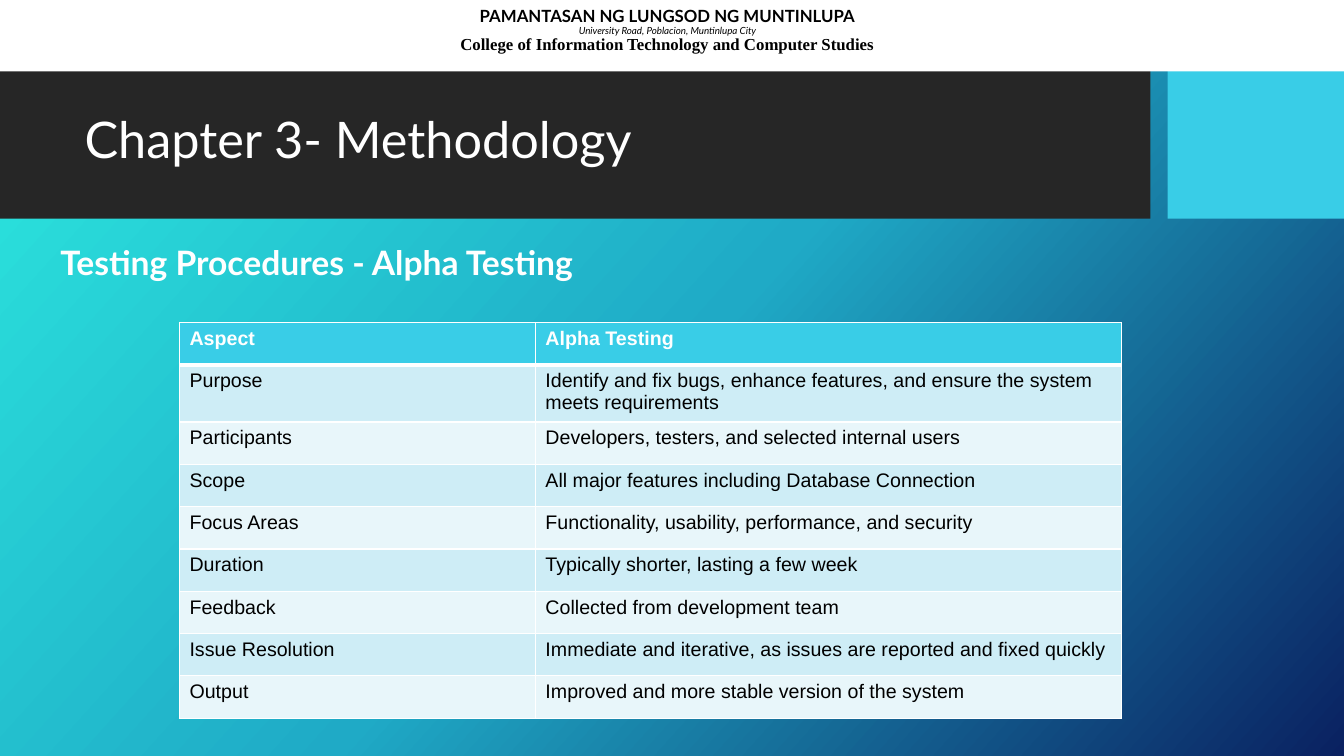
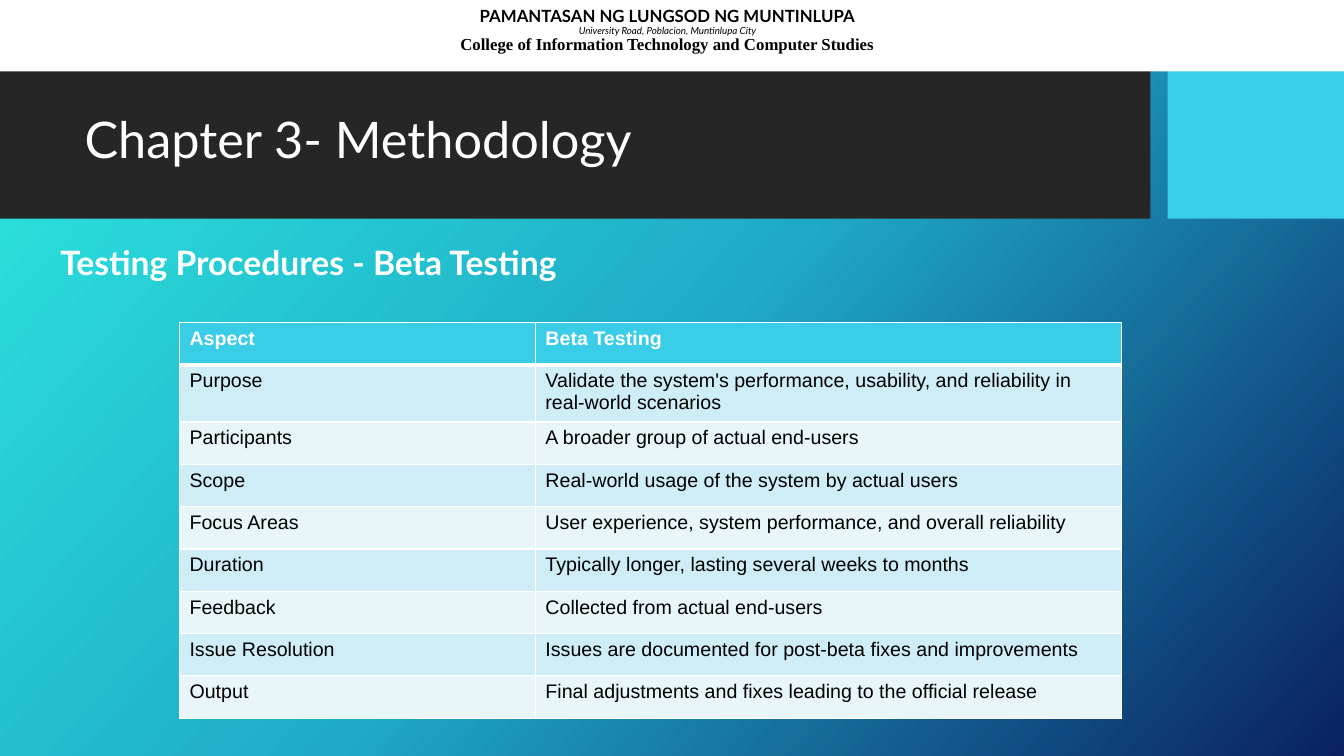
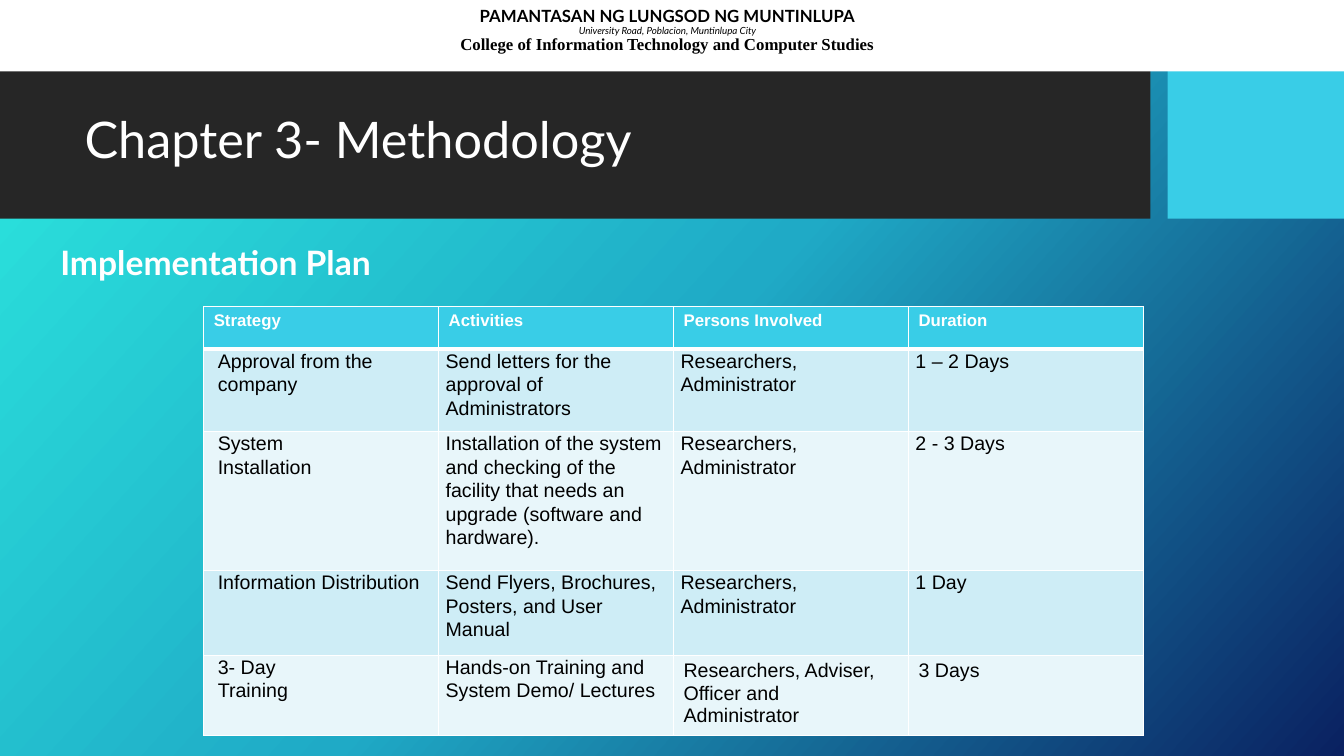
from copy import deepcopy
from dataclasses import dataclass

from lxml.etree import SubElement as Sub
from pptx import Presentation
from pptx.dml.color import RGBColor as Rgb
from pptx.enum.shapes import MSO_SHAPE as Kind
from pptx.enum.text import MSO_ANCHOR as Anchor, PP_ALIGN as Align
from pptx.oxml.ns import qn
from pptx.util import Pt

PX = 9144  # EMU in one px, 100 px to the inch
WIDE, HIGH = 1333, 750


@dataclass(frozen=True)
class Theme:
    dark: str = "262626"
    aqua: str = "39CDE7"
    white: str = "FFFFFF"
    black: str = "000000"
    bands: tuple = ("CEEDF6", "E8F6FA")
    sky: tuple = ((0, "2CEAE0"), (0.5, "1FAAC6"), (1, "0A2161"))
    tilt: int = 318
    sans: str = "Lato"
    serif: str = "Times New Roman"
    plain: str = "Arial"
    title: int = 36
    topic: int = 24
    body: int = 14
    small: int = 12
    tiny: int = 7
    thin: int = 1
    thick: int = 3
    snug: float = 0.9
    airy: float = 1.07


def write(frame, text, size, color, font, bold=False, italic=False,
          align=Align.LEFT, space=None, more=False):
    """Put each line of text in its own paragraph; more adds after what is there."""
    for i, line in enumerate(text.split("\n")):
        para = frame.add_paragraph() if more or i else frame.paragraphs[0]
        para.alignment = align
        para.line_spacing = space
        run = para.add_run()
        run.text = line
        face = run.font
        face.name, face.size = font, Pt(size)
        face.bold, face.italic = bold, italic
        face.color.rgb = Rgb.from_string(color)


def edge(cell, color, top, low):
    """Draw the four cell borders, with own widths for top and bottom."""
    props = cell._tc.get_or_add_tcPr()
    thin = Theme.thin
    sides = (("lnL", thin), ("lnR", thin), ("lnT", top), ("lnB", low))
    for i, (side, width) in enumerate(sides):
        line = Sub(props, qn(f"a:{side}"), w=str(Pt(width)))
        fill = Sub(line, qn("a:solidFill"))
        Sub(fill, qn("a:srgbClr"), val=color)
        props.insert(i, line)


class Deck:
    def __init__(self, theme):
        self.theme = theme
        self.show = Presentation()
        self.show.slide_width = WIDE * PX
        self.show.slide_height = HIGH * PX
        self.slide = None

    def page(self, topic):
        """Start a slide with the shared background, bands, title and header."""
        look = self.theme
        self.slide = self.show.slides.add_slide(self.show.slide_layouts[6])
        self.sky()
        self.rect(0, 67, 1141, 150, look.dark)
        self.rect(1158, 67, 175, 150, look.aqua)
        self.label(74, 82, 1051, 118, "Chapter 3- Methodology", look.title,
                   anchor=Anchor.MIDDLE)
        self.label(50, 240, 620, 62, topic, look.topic, bold=True)
        self.header()

    def sky(self):
        fill = self.slide.background.fill
        fill.gradient()
        fill.gradient_angle = self.theme.tilt
        first = self.slide.element.xpath(".//a:gs")[0]
        first.addnext(deepcopy(first))
        for stop, (place, color) in zip(fill.gradient_stops, self.theme.sky):
            stop.position = place
            stop.color.rgb = Rgb.from_string(color)

    def rect(self, x, y, w, h, color):
        box = self.slide.shapes.add_shape(
            Kind.RECTANGLE, x * PX, y * PX, w * PX, h * PX)
        box.shadow.inherit = False
        box.fill.solid()
        box.fill.fore_color.rgb = Rgb.from_string(color)
        box.line.fill.background()
        return box

    def label(self, x, y, w, h, text, size, anchor=Anchor.TOP, bold=False):
        look = self.theme
        box = self.slide.shapes.add_textbox(x * PX, y * PX, w * PX, h * PX)
        frame = box.text_frame
        frame.word_wrap = True
        frame.vertical_anchor = anchor
        write(frame, text, size, look.white, look.sans, bold=bold,
              space=look.snug)

    def header(self):
        look = self.theme
        frame = self.rect(-17, -5, 1358, 76, look.white).text_frame
        frame.word_wrap = True
        frame.vertical_anchor = Anchor.BOTTOM
        frame.margin_bottom = 17 * PX
        mid = dict(color=look.black, align=Align.CENTER, space=look.snug)
        write(frame, "PAMANTASAN NG LUNGSOD NG MUNTINLUPA", look.small,
              font=look.sans, bold=True, **mid)
        write(frame, "University Road, Poblacion, Muntinlupa City", look.tiny,
              font=look.sans, italic=True, more=True, **mid)
        write(frame, "College of Information Technology and Computer Studies",
              look.small, font=look.serif, bold=True, more=True, **mid)

    def grid(self, x, y, cols, tall, rows, head, tight=False, loose=()):
        """Add a banded table; tight body cells get small insets, except loose ones."""
        look = self.theme
        table = self.slide.shapes.add_table(
            len(rows), len(cols), x * PX, y * PX,
            sum(cols) * PX, sum(tall) * PX).table
        table.horz_banding = False
        for col, width in zip(table.columns, cols):
            col.width = width * PX
        for r, row in enumerate(rows):
            table.rows[r].height = tall[r] * PX
            for c, text in enumerate(row):
                cell = table.cell(r, c)
                top = r == 0
                close = tight and not top and (r, c) not in loose
                if close:
                    cell.margin_left = (7 if c else 14) * PX
                    cell.margin_right = 7 * PX
                    cell.margin_top = cell.margin_bottom = 0
                cell.fill.solid()
                cell.fill.fore_color.rgb = Rgb.from_string(
                    look.aqua if top else look.bands[(r - 1) % 2])
                edge(cell, look.white, look.thick if r == 1 else look.thin,
                     look.thick if top else look.thin)
                write(cell.text_frame, text, head if top else look.body,
                      look.white if top else look.black, look.plain, bold=top,
                      space=look.airy if close else None)


ASPECTS = ("Aspect", "Purpose", "Participants", "Scope", "Focus Areas",
           "Duration", "Feedback", "Issue Resolution", "Output")

TESTS = {
    "Alpha Testing": (
        "Identify and fix bugs, enhance features, and ensure the system meets requirements",
        "Developers, testers, and selected internal users",
        "All major features including Database Connection",
        "Functionality, usability, performance, and security",
        "Typically shorter, lasting a few week",
        "Collected from development team",
        "Immediate and iterative, as issues are reported and fixed quickly",
        "Improved and more stable version of the system",
    ),
    "Beta Testing": (
        "Validate the system's performance, usability, and reliability in real-world scenarios",
        "A broader group of actual end-users",
        "Real-world usage of the system by actual users",
        "User experience, system performance, and overall reliability",
        "Typically longer, lasting several weeks to months",
        "Collected from actual end-users",
        "Issues are documented for post-beta fixes and improvements",
        "Final adjustments and fixes leading to the official release",
    ),
}

TEAM = "Researchers, Administrator"
PLAN = (
    ("Strategy", "Activities", "Persons Involved", "Duration"),
    ("Approval from the company",
     "Send letters for the approval of Administrators", TEAM, "1 – 2 Days"),
    ("System\nInstallation",
     "Installation of the system and checking of the facility that needs an "
     "upgrade (software and hardware).", TEAM, "2 - 3 Days"),
    ("Information Distribution",
     "Send Flyers, Brochures,\nPosters, and User Manual", TEAM, "1 Day"),
    ("3- Day\nTraining", "Hands-on Training and System Demo/ Lectures",
     "Researchers, Adviser,\nOfficer and\nAdministrator", "3 Days"),
)


def main():
    look = Theme()
    deck = Deck(look)
    for name, facts in TESTS.items():
        deck.page(f"Testing Procedures - {name}")
        rows = list(zip(ASPECTS, (name, *facts)))
        deck.grid(178, 320, (353, 581), [42] * len(rows), rows, look.body)
    deck.page("Implementation Plan")
    deck.grid(202, 304, [233] * 4, (42, 82, 138, 84, 42), PLAN, look.small,
              tight=True, loose={(4, 2), (4, 3)})
    deck.show.save("out.pptx")


if __name__ == "__main__":
    main()
